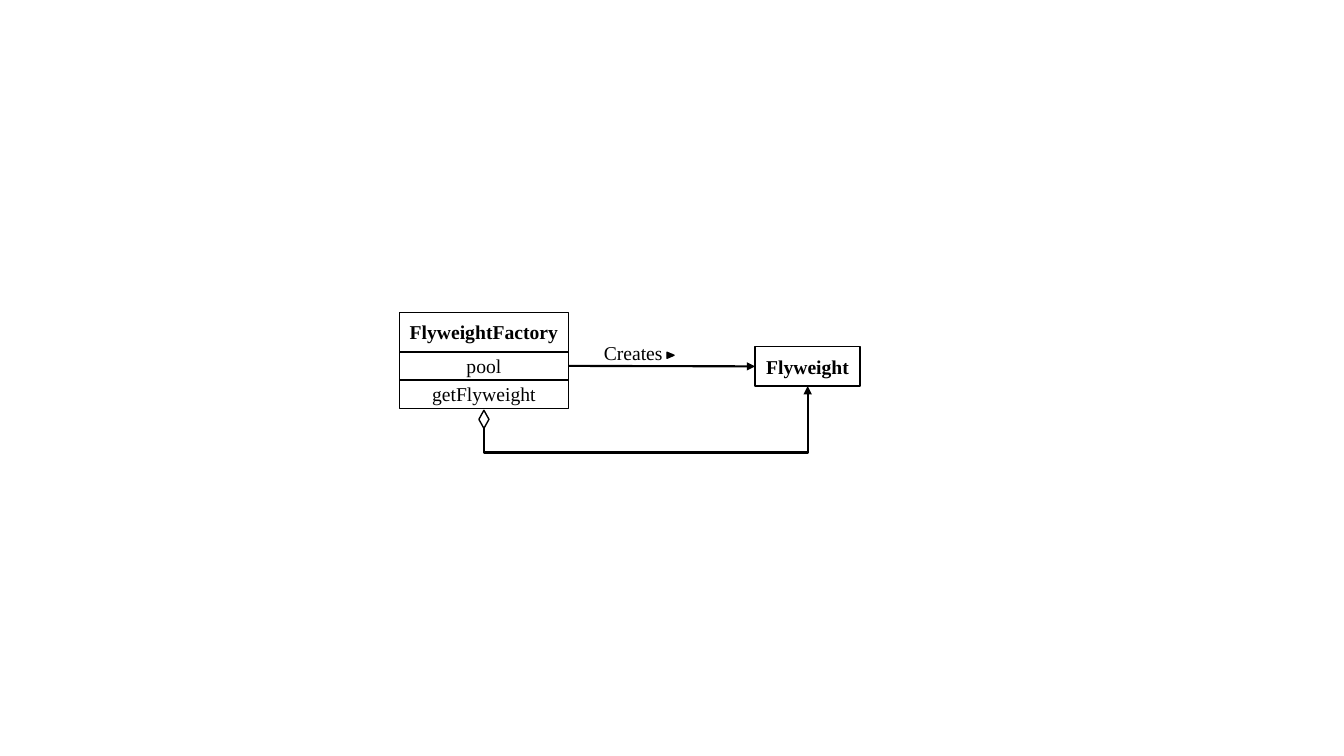
"""Build a UML class diagram of the Flyweight pattern."""
from dataclasses import dataclass

from lxml.etree import SubElement
from pptx import Presentation
from pptx.dml.color import RGBColor
from pptx.enum.shapes import MSO_CONNECTOR as CONN, MSO_SHAPE as SHAPE
from pptx.enum.text import MSO_ANCHOR as ANCHOR, PP_ALIGN as ALIGN
from pptx.oxml.ns import qn
from pptx.util import Inches, Pt

BLACK, WHITE = "000000", "FFFFFF"
FONT = {"name": "Times New Roman", "size": Pt(14)}


@dataclass
class Compartment:
    text: str
    height: float
    bold: bool = False


@dataclass
class UmlClass:
    left: float
    top: float
    width: float
    compartments: list[Compartment]


FACTORY = UmlClass(3.96, 3.1, 1.68, [
    Compartment("FlyweightFactory", 0.39, True),
    Compartment("pool", 0.28),
    Compartment("getFlyweight", 0.28),
])
FLYWEIGHT = UmlClass(7.49, 3.44, 1.04, [Compartment("Flyweight", 0.39, True)])


def rgb(value: str) -> RGBColor:
    return RGBColor.from_string(value)


def add_outlined(s, kind, left: float, top: float, width: float, height: float, fill: str = WHITE):
    sp = s.shapes.add_shape(kind, *map(Inches, (left, top, width, height)))
    sp.shadow.inherit = False
    sp.fill.solid()
    sp.fill.fore_color.rgb = rgb(fill)
    sp.line.color.rgb = rgb(BLACK)
    sp.line.width = Pt(1)
    return sp


def write(sp, text: str, align, bold: bool = False) -> None:
    p = sp.text_frame.paragraphs[0]
    p.alignment = align
    r = p.add_run()
    r.text = text
    for name, value in {**FONT, "bold": bold}.items():
        setattr(r.font, name, value)
    r.font.color.rgb = rgb(BLACK)


def add_class(s, uml: UmlClass) -> list:
    boxes, top = [], uml.top
    for part in uml.compartments:
        sp = add_outlined(s, SHAPE.RECTANGLE, uml.left, top, uml.width, part.height)
        sp.text_frame.vertical_anchor = ANCHOR.MIDDLE
        sp.text_frame.word_wrap = False
        write(sp, part.text, ALIGN.CENTER, part.bold)
        boxes.append(sp)
        top += part.height
    return boxes


def add_arrow(s, kind, x1: float, y1: float, x2: float, y2: float):
    cxn = s.shapes.add_connector(kind, *map(Inches, (x1, y1, x2, y2)))
    cxn.line.color.rgb = rgb(BLACK)
    cxn.line.width = Pt(1.5)
    SubElement(cxn.line._get_or_add_ln(), qn("a:tailEnd"), type="triangle")
    SubElement(cxn._element.spPr, qn("a:effectLst"))
    return cxn


def add_elbow(s, x1: float, y1: float, x2: float, y2: float, bend_y: float) -> None:
    """Draw an arrow that leaves downwards, runs across at bend_y and ends upwards."""
    cx, cy = (x1 + x2) / 2, (y1 + y2) / 2
    half_w, half_h = (y1 - y2) / 2, (x2 - x1) / 2
    cxn = add_arrow(s, CONN.ELBOW, cx + half_w, cy + half_h, cx - half_w, cy - half_h)
    spPr = cxn._element.spPr
    spPr.find(qn("a:xfrm")).set("rot", str(90 * 60000))
    adjust = round((y1 - bend_y) / (y1 - y2) * 100000)
    guides = spPr.find(qn("a:prstGeom")).get_or_add_avLst()
    SubElement(guides, qn("a:gd"), name="adj1", fmla=f"val {adjust}")


def main() -> None:
    prs = Presentation()
    prs.slide_width, prs.slide_height = Inches(13.33), Inches(7.5)
    s = prs.slides.add_slide(prs.slide_layouts[6])

    flyweight = add_class(s, FLYWEIGHT)[0]
    pool = add_class(s, FACTORY)[1]

    add_outlined(s, SHAPE.ISOSCELES_TRIANGLE, 6.62, 3.49, 0.06, 0.07, BLACK).rotation = 90
    label = s.shapes.add_textbox(*map(Inches, (5.89, 3.33, 1.13, 0.34)))
    label.text_frame.word_wrap = True
    write(label, "Creates", ALIGN.LEFT)

    creates = add_arrow(s, CONN.STRAIGHT, 5.64, 3.63, 7.49, 3.63)
    creates.begin_connect(pool, 3)
    creates.end_connect(flyweight, 1)

    add_outlined(s, SHAPE.DIAMOND, 4.75, 4.07, 0.1, 0.18)
    add_elbow(s, 4.8, 4.24, 8.01, 3.83, 4.49)
    prs.save("out.pptx")


if __name__ == "__main__":
    main()
